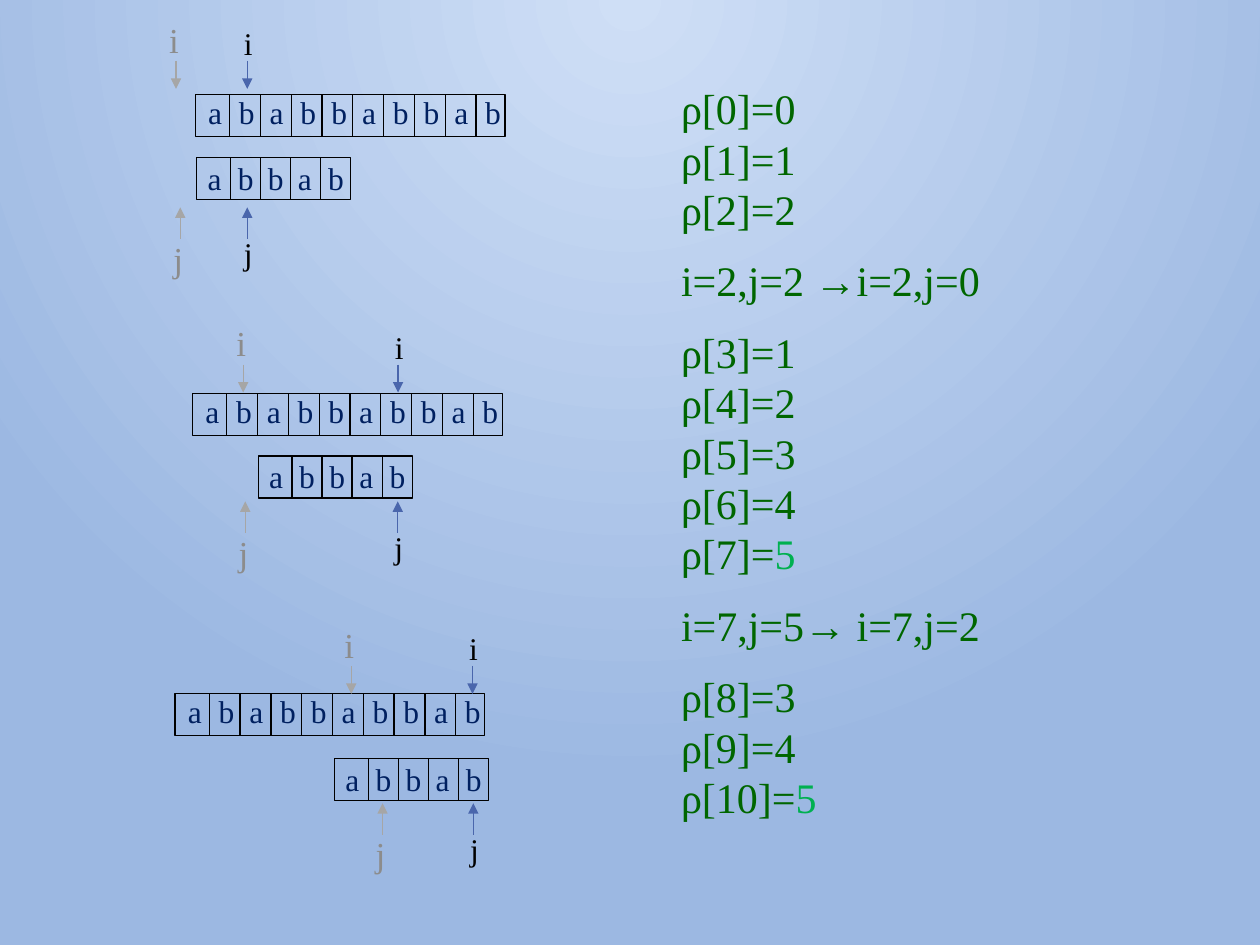
from dataclasses import dataclass

from lxml import etree
from pptx import Presentation
from pptx.dml.color import RGBColor as Rgb
from pptx.enum import shapes, text
from pptx.oxml import ns
from pptx.util import Pt


@dataclass(frozen=True)
class Theme:
    font: str = "Times New Roman"
    glow: str = "CFDFF6"
    sky: str = "9CB8E2"
    ink: str = "000000"
    navy: str = "002060"
    old: str = "A6A6A6"
    dim: str = "8C8C8C"
    new: str = "4A66AC"
    green: str = "006600"
    match: str = "00B050"
    cell: float = 18
    past: float = 20
    note: float = 24
    lead: float = 28.8
    line: float = 0.75


class Pen:
    def __init__(self, slide, theme):
        self.slide = slide
        self.theme = theme
        self.items = slide.shapes

    def group(self):
        self.items = self.slide.shapes.add_group_shape().shapes

    def ground(self):
        fill = self.slide.background.fill
        fill.gradient()
        for stop, color in zip(fill.gradient_stops, (self.theme.glow, self.theme.sky)):
            stop.color.rgb = Rgb.from_string(color)
        grad = self.slide.element.find(".//" + ns.qn("a:gradFill"))
        grad.remove(grad.find(ns.qn("a:lin")))
        ring = etree.SubElement(grad, ns.qn("a:path"), path="circle")
        etree.SubElement(ring, ns.qn("a:fillToRect"), l="43000", t="0", r="43000", b="100000")

    def box(self, x, y, w, h):
        rect = self.items.add_shape(shapes.MSO_SHAPE.RECTANGLE, Pt(x), Pt(y), Pt(w), Pt(h))
        rect.shadow.inherit = False
        rect.fill.background()
        rect.line.color.rgb = Rgb.from_string(self.theme.ink)
        rect.line.width = Pt(self.theme.line)

    def rule(self, x, start, end, color, arrow=False):
        rule = self.items.add_connector(
            shapes.MSO_CONNECTOR.STRAIGHT, Pt(x), Pt(start), Pt(x), Pt(end))
        rule.line.color.rgb = Rgb.from_string(color)
        rule.line.width = Pt(self.theme.line)
        if arrow:
            line = rule._element.spPr.find(ns.qn("a:ln"))
            etree.SubElement(line, ns.qn("a:tailEnd"), type="triangle")
        etree.SubElement(rule._element.spPr, ns.qn("a:effectLst"))

    def frame(self, x, y, w, h):
        frame = self.items.add_textbox(Pt(x), Pt(y), Pt(w), Pt(h)).text_frame
        frame.word_wrap = True
        frame.auto_size = text.MSO_AUTO_SIZE.SHAPE_TO_FIT_TEXT
        return frame

    def style(self, para, size, color):
        para.font.name = self.theme.font
        para.font.size = Pt(size)
        para.font.color.rgb = Rgb.from_string(color)

    def label(self, word, x, y, w, size, color):
        para = self.frame(x, y, w, 29).paragraphs[0]
        para.text = word
        self.style(para, size, color)

    def strip(self, word, x, y, wide, step, shift, lift):
        high = 24
        first = 2
        self.box(x, y, wide, high)
        for k, char in enumerate(word):
            if k:
                self.rule(x + first + step * k, y, y + high, self.theme.ink)
            self.label(char, x + shift + step * k, y - lift, 22.3, self.theme.cell, self.theme.navy)

    def mark(self, name, x, tail, tip, past):
        look = self.theme
        down = tip > tail
        if past:
            color, tint, size, left = look.old, look.dim, look.past, 11
            rise = 28 if down else 4.6
        else:
            color, tint, size, left = look.new, look.ink, look.cell, 9
            rise = 24.7 if down else 6.3
        self.rule(x, tail, tip, color, arrow=True)
        self.label(name, x - left, tail - rise, 26, size, tint)

    def notes(self, rows, x, y, w, h):
        frame = self.frame(x, y, w, h)
        for k, row in enumerate(rows):
            para = frame.add_paragraph() if k else frame.paragraphs[0]
            self.style(para, self.theme.note, self.theme.green)
            para.line_spacing = Pt(self.theme.lead)
            if row.startswith("i"):
                para.space_before = para.space_after = Pt(12)
            head, _, tail = row.partition("|")
            para.add_run().text = head
            if tail:
                run = para.add_run()
                run.text = tail
                run.font.color.rgb = Rgb.from_string(self.theme.match)


STAGES = [
    {"text": (111.6, 54), "word": (112.5, 90), "i": (100.6, 141.3), "j": (103, 141.3),
     "top": 34.8, "base": 118.5},
    {"text": (110, 224.8), "word": (147.6, 260.6), "i": (139, 227.5), "j": (140.2, 227.3),
     "top": 208.3, "base": 286.5},
    {"text": (100, 396.2), "word": (191.2, 433.4), "i": (200.7, 270), "j": (218.6, 270.5),
     "top": 380.5, "base": 459},
]

ROWS = [
    "ρ[0]=0", "ρ[1]=1", "ρ[2]=2",
    "i=2,j=2 →i=2,j=0",
    "ρ[3]=1", "ρ[4]=2", "ρ[5]=3", "ρ[6]=4", "ρ[7]=|5",
    "i=7,j=5→ i=7,j=2",
    "ρ[8]=3", "ρ[9]=4", "ρ[10]=|5",
]


def main():
    deck = Presentation()
    deck.slide_width, deck.slide_height = Pt(720), Pt(540)
    pen = Pen(deck.slides.add_slide(deck.slide_layouts[6]), Theme())
    pen.ground()
    pen.notes(ROWS, 382.1, 43.7, 228.2, 433.4)
    for stage in STAGES:
        pen.group()
        pen.strip("ababbabbab", *stage["text"], wide=177, step=17.6, shift=0.2, lift=4.2)
        pen.strip("abbab", *stage["word"], wide=88, step=17.2, shift=-0.9, lift=2.8)
        for past, i, j in zip((True, False), stage["i"], stage["j"]):
            pen.mark("i", i, stage["top"], stage["top"] + 16, past)
            pen.mark("j", j, stage["base"] + 18, stage["base"], past)
    deck.save("out.pptx")


if __name__ == "__main__":
    main()
